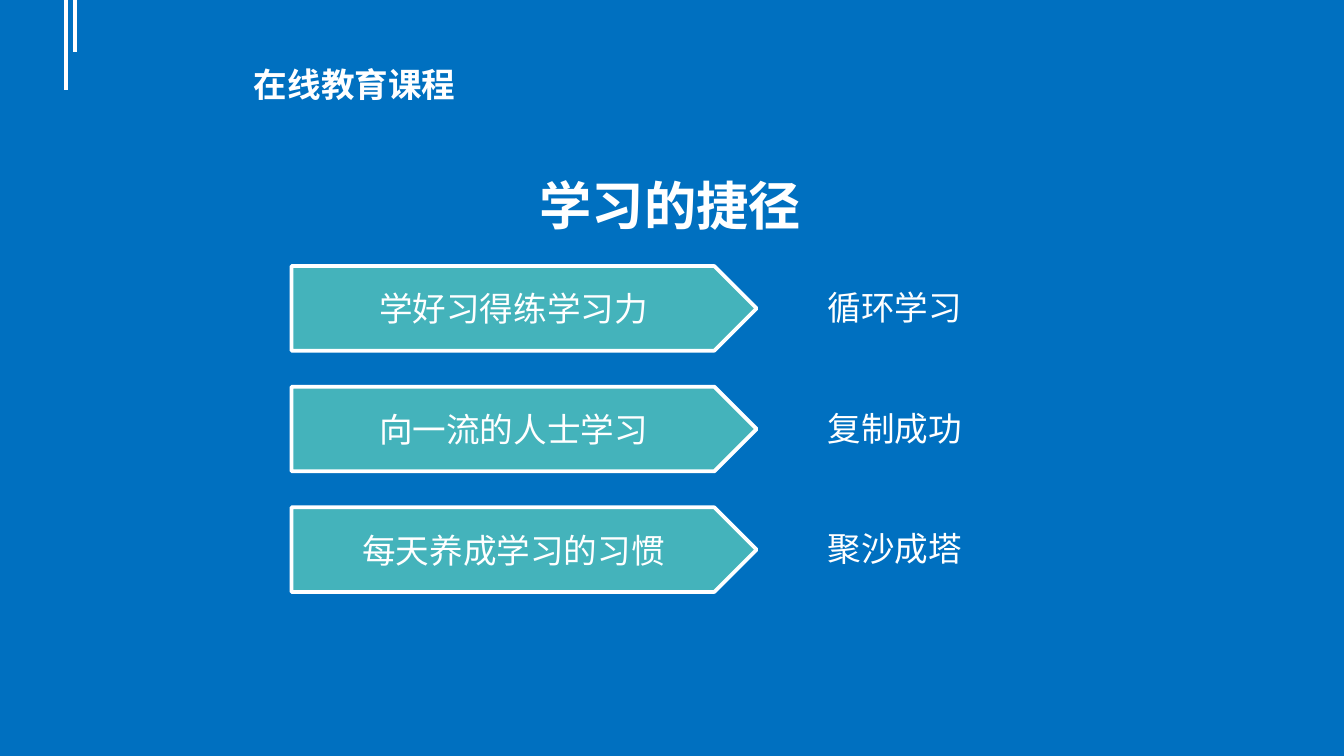
from lxml import etree
from pptx import Presentation
from pptx.dml.color import RGBColor
from pptx.enum.shapes import MSO_CONNECTOR, MSO_SHAPE
from pptx.enum.text import MSO_ANCHOR, PP_ALIGN
from pptx.oxml.ns import qn
from pptx.util import Cm, Pt

PENTAGON = MSO_SHAPE.PENTAGON
STRAIGHT = MSO_CONNECTOR.STRAIGHT
MIDDLE, TOP = MSO_ANCHOR.MIDDLE, MSO_ANCHOR.TOP
LEFT, CENTER = PP_ALIGN.LEFT, PP_ALIGN.CENTER

BLUE = RGBColor(0x00, 0x70, 0xC0)
TEAL = RGBColor(0x44, 0xB3, 0xBB)
WHITE = RGBColor(0xFF, 0xFF, 0xFF)
FONT = "DejaVu Sans"

# Content
HEADER = "在线教育课程"
TITLE = "学习的捷径"
SHORTCUTS = [
    ("学好习得练学习力", "循环学习"),
    ("向一流的人士学习", "复制成功"),
    ("每天养成学习的习惯", "聚沙成塔"),
]
CORNER_LINES = [(1.24, 1.7), (1.42, 0.99)]  # x, length in cm

# Row grid in cm
ROW_TOP, ROW_PITCH = 5.03, 2.28
ARROW_LEFT, ARROW_WIDTH, ARROW_HEIGHT = 5.51, 8.79, 1.6
RESULT_LEFT, RESULT_WIDTH, RESULT_HEIGHT, RESULT_DROP = 15.39, 5.99, 1.02, 0.27


def write(shape, text, size=18, bold=False, align=LEFT, anchor=TOP):
    frame = shape.text_frame
    frame.word_wrap = True
    frame.vertical_anchor = anchor
    paragraph = frame.paragraphs[0]
    paragraph.alignment = align
    run = paragraph.add_run()
    run.text = text
    run.font.size = Pt(size)
    run.font.bold = bold
    run.font.color.rgb = WHITE
    run.font.name = FONT
    # East Asian typeface and language
    properties = run.font._element
    properties.set("lang", "zh-CN")
    properties.find(qn("a:latin")).addnext(
        properties.makeelement(qn("a:ea"), {"typeface": FONT}))


def add_text(slide, text, left, top, width, height, **style):
    box = slide.shapes.add_textbox(Cm(left), Cm(top), Cm(width), Cm(height))
    write(box, text, **style)


def add_arrow(slide, text, top):
    arrow = slide.shapes.add_shape(
        PENTAGON, Cm(ARROW_LEFT), Cm(top), Cm(ARROW_WIDTH), Cm(ARROW_HEIGHT))
    arrow.shadow.inherit = False
    arrow.fill.solid()
    arrow.fill.fore_color.rgb = TEAL
    arrow.line.color.rgb = WHITE
    arrow.line.width = Pt(2)
    write(arrow, text, align=CENTER, anchor=MIDDLE)


def main():
    prs = Presentation()
    prs.slide_width, prs.slide_height = Cm(25.4), Cm(14.29)
    slide = prs.slides.add_slide(prs.slide_layouts[5])
    slide.background.fill.solid()
    slide.background.fill.fore_color.rgb = BLUE

    # Corner lines
    for x, length in CORNER_LINES:
        line = slide.shapes.add_connector(STRAIGHT, Cm(x), 0, Cm(x), Cm(length))
        line.line.color.rgb = WHITE
        line.line.width = Pt(2.25)
        etree.SubElement(line._element.spPr, qn("a:effectLst"))

    # Title and header
    title = slide.shapes.title
    title.left, title.top = Cm(9.7), Cm(3.15)
    title.width, title.height = Cm(16.79), Cm(1.42)
    write(title, TITLE, size=28, bold=True, anchor=MIDDLE)
    title.text_frame.margin_left = Cm(0.5)
    add_text(slide, HEADER, 4.55, 1.09, 5.21, 1.63, bold=True)

    # Shortcuts and their results
    for row, (shortcut, result) in enumerate(SHORTCUTS):
        top = ROW_TOP + row * ROW_PITCH
        add_arrow(slide, shortcut, top)
        add_text(slide, result, RESULT_LEFT, top + RESULT_DROP,
                 RESULT_WIDTH, RESULT_HEIGHT)

    prs.save("out.pptx")


if __name__ == "__main__":
    main()
